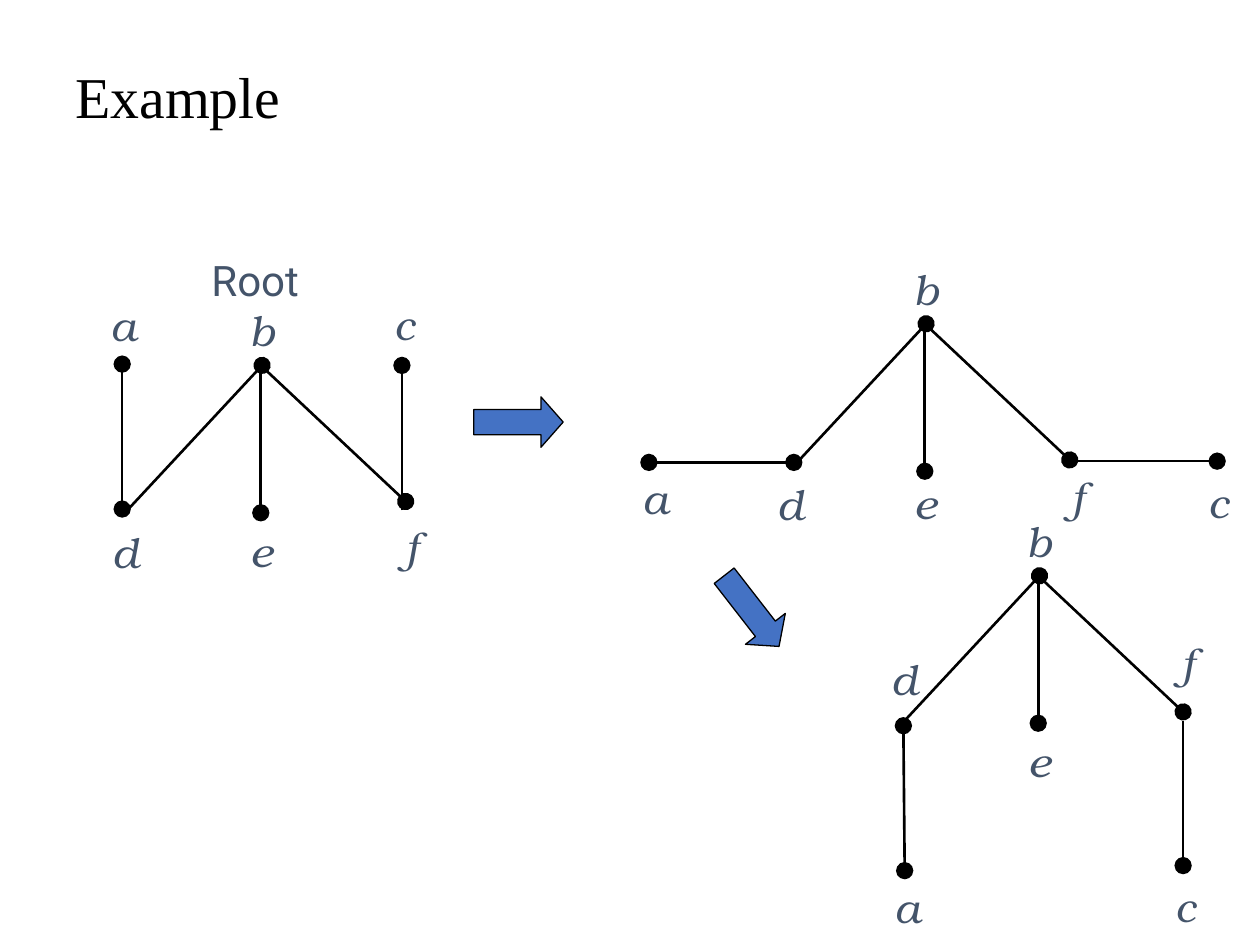
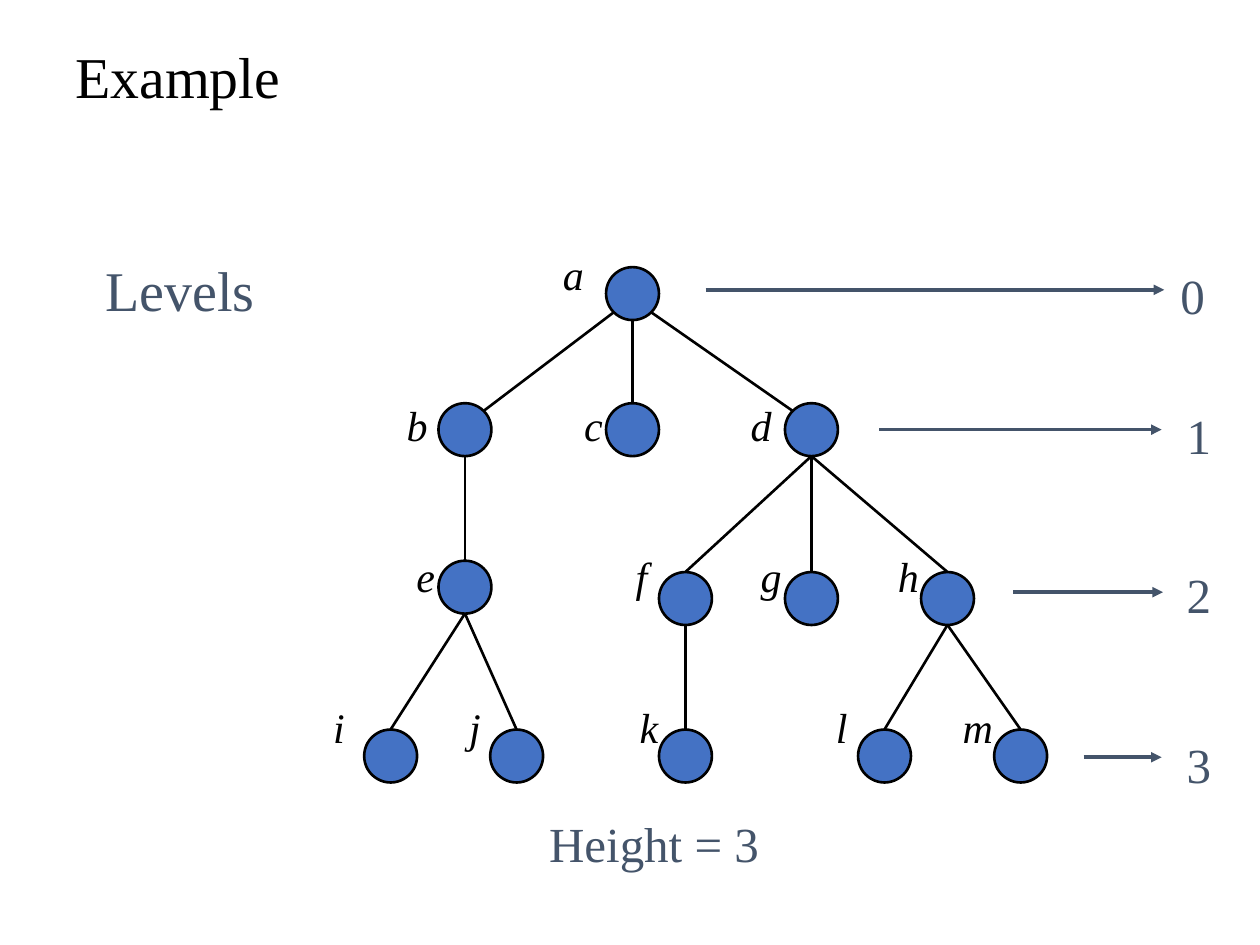
from dataclasses import dataclass
from math import copysign, sqrt
from typing import NamedTuple

from lxml.etree import SubElement
from pptx import Presentation
from pptx.dml.color import RGBColor
from pptx.enum.shapes import MSO_CONNECTOR, MSO_SHAPE
from pptx.enum.text import MSO_ANCHOR, PP_ALIGN
from pptx.oxml.ns import qn
from pptx.shapes.autoshape import Shape
from pptx.shapes.connector import Connector
from pptx.shapes.shapetree import GroupShapes, SlideShapes
from pptx.slide import Slide
from pptx.util import Inches, Pt

COLORS = {"ink": "000000", "slate": "44546A", "blue": "4472C4"}
SERIF = "Times New Roman"
Shapes = SlideShapes | GroupShapes


class Point(NamedTuple):
    x: float
    y: float

    def shift(self, x: float, y: float) -> "Point":
        return Point(self.x + x, self.y + y)


class Box(NamedTuple):
    left: float
    top: float
    width: float
    height: float


class Edge(NamedTuple):
    start: Point
    end: Point
    dot_at_start: bool = False
    dot_at_end: bool = True


@dataclass(frozen=True)
class TextStyle:
    size: float
    font: str = SERIF
    color: str = "slate"
    italic: bool = False
    align: PP_ALIGN = PP_ALIGN.LEFT
    anchor: MSO_ANCHOR = MSO_ANCHOR.TOP
    inset: tuple[float, float] = (0.1, 0.05)
    line_spacing: float = 1.0


@dataclass(frozen=True)
class RootedGraph:
    root: Point
    labels: dict[str, Point]
    outer_edges: tuple[Edge, Edge]


class Level(NamedTuple):
    arrow_start: Point
    arrow_end_x: float
    number_left: float
    number_top: float


LABEL = {"italic": True, "align": PP_ALIGN.CENTER, "anchor": MSO_ANCHOR.MIDDLE, "inset": (0, 0)}
GRAPH_LABEL = TextStyle(24, font="TeX Gyre Bonum", **LABEL)
TREE_LABEL = TextStyle(24, color="ink", **LABEL)
NUMBER = TextStyle(28)

GRAPHS = [
    RootedGraph(
        Point(2.08, 2.9),
        {"a": Point(0.98, 2.58), "c": Point(3.21, 2.57), "d": Point(1, 4.38),
         "e": Point(2.08, 4.37), "f": Point(3.27, 4.34)},
        (Edge(Point(0.97, 4.04), Point(0.97, 2.89), True), Edge(Point(3.19, 4.05), Point(3.19, 2.9))),
    ),
    RootedGraph(
        Point(7.35, 2.57),
        {"a": Point(5.2, 3.95), "c": Point(9.67, 3.98), "d": Point(6.28, 4),
         "e": Point(7.35, 3.99), "f": Point(8.55, 3.94)},
        (Edge(Point(6.3, 3.67), Point(5.15, 3.67), True), Edge(Point(8.5, 3.66), Point(9.66, 3.66))),
    ),
    RootedGraph(
        Point(8.25, 4.57),
        {"a": Point(7.2, 7.2), "c": Point(9.41, 7.19), "d": Point(7.18, 5.39),
         "e": Point(8.25, 6.04), "f": Point(9.43, 5.26)},
        (Edge(Point(7.17, 5.76), Point(7.18, 6.91), True), Edge(Point(9.39, 5.72), Point(9.39, 6.87))),
    ),
]

NODE_SIZE = 0.42
TREE_NODES = {
    "a": Point(5.02, 2.33),
    "b": Point(3.69, 3.41), "c": Point(5.02, 3.41), "d": Point(6.44, 3.41),
    "e": Point(3.69, 4.66), "f": Point(5.44, 4.75), "g": Point(6.44, 4.75), "h": Point(7.52, 4.75),
    "i": Point(3.1, 6), "j": Point(4.1, 6), "k": Point(5.44, 6), "l": Point(7.02, 6), "m": Point(8.1, 6),
}
CHILDREN = {"a": "bcd", "b": "e", "d": "fgh", "e": "ij", "f": "k", "h": "lm"}
LABEL_ROWS = [
    {"a": 4.55},
    {"b": 3.31, "c": 4.71, "d": 6.04},
    {"e": 3.38, "f": 5.09, "g": 6.12, "h": 7.21},
    {"i": 2.69, "j": 3.77, "k": 5.15, "l": 6.68, "m": 7.76},
]
LEVELS = [
    Level(Point(5.6, 2.3), 9.24, 9.27, 2.06),
    Level(Point(6.98, 3.41), 9.22, 9.32, 3.17),
    Level(Point(8.04, 4.7), 9.23, 9.32, 4.43),
    Level(Point(8.6, 6.01), 9.22, 9.32, 5.78),
]


def set_attributes(target: object, values: dict) -> None:
    for name, value in values.items():
        setattr(target, name, value)


def rgb(color: str) -> RGBColor:
    return RGBColor.from_string(COLORS[color])


def add_text(shapes: Shapes, text: str, box: Box, style: TextStyle) -> None:
    shape = shapes.add_textbox(*map(Inches, box))
    side, edge = map(Inches, style.inset)
    set_attributes(shape.text_frame, {
        "word_wrap": True, "vertical_anchor": style.anchor,
        "margin_left": side, "margin_right": side, "margin_top": edge, "margin_bottom": edge,
    })
    paragraph = shape.text_frame.paragraphs[0]
    set_attributes(paragraph, {"alignment": style.align, "line_spacing": style.line_spacing})
    run = paragraph.add_run()
    run.text = text
    set_attributes(run.font, {"size": Pt(style.size), "name": style.font, "italic": style.italic})
    run.font.color.rgb = rgb(style.color)


def add_label(shapes: Shapes, text: str, center: Point, style: TextStyle) -> None:
    width, height = 0.34, 0.4
    add_text(shapes, text, Box(center.x - width / 2, center.y - height / 2, width, height), style)


def add_title(slide: Slide, anchor: MSO_ANCHOR) -> None:
    style = TextStyle(33, color="ink", anchor=anchor, line_spacing=0.9)
    add_text(slide.shapes, "Example", Box(0.5, 0.17, 9, 0.92), style)


def add_blue_shape(shapes: Shapes, kind: MSO_SHAPE, box: Box, line_width: float) -> Shape:
    shape = shapes.add_shape(kind, *map(Inches, box))
    shape.shadow.inherit = False
    shape.fill.solid()
    shape.fill.fore_color.rgb = rgb("blue")
    shape.line.color.rgb = rgb("ink")
    shape.line.width = Pt(line_width)
    return shape


def add_block_arrow(slide: Slide, left: float, top: float, rotation: float) -> None:
    arrow = add_blue_shape(slide.shapes, MSO_SHAPE.RIGHT_ARROW, Box(left, top, 0.71, 0.4), 0.75)
    arrow.adjustments[1] = 0.44
    arrow.rotation = rotation


def add_line(shapes: Shapes, start: Point, end: Point, color: str = "ink", width: float = 1.5) -> Connector:
    line = shapes.add_connector(MSO_CONNECTOR.STRAIGHT, *map(Inches, (*start, *end)))
    line.line.color.rgb = rgb(color)
    line.line.width = Pt(width)
    SubElement(line._element.spPr, qn("a:effectLst"))
    return line


def add_line_end(line: Connector, end: str, kind: str, size: str) -> None:
    """Put a marker on headEnd (the start) or tailEnd (the end) of a line."""
    SubElement(line.line._get_or_add_ln(), qn(f"a:{end}"), type=kind, w=size, len=size)


def add_edge(shapes: Shapes, edge: Edge) -> None:
    line = add_line(shapes, edge.start, edge.end)
    if edge.dot_at_start:
        add_line_end(line, "headEnd", "oval", "lg")
    if edge.dot_at_end:
        add_line_end(line, "tailEnd", "oval", "lg")


def add_rooted_graph(slide: Slide, graph: RootedGraph) -> None:
    """Draw the fan from root b to d, e and f, then the two outer edges."""
    shapes = slide.shapes.add_group_shape().shapes
    root = graph.root
    fan = (
        Edge(root.shift(-1.07, 1.15), root),
        Edge(root.shift(-0.01, 0.02), root.shift(-0.01, 1.17)),
        Edge(root.shift(1.14, 1.08), root.shift(-0.01, 0), True, False),
    )
    for edge in fan + graph.outer_edges:
        add_edge(shapes, edge)
    for text, center in {"b": root.shift(0, -0.28), **graph.labels}.items():
        add_label(shapes, text, center, GRAPH_LABEL)


def add_tree(slide: Slide) -> None:
    shapes = slide.shapes.add_group_shape().shapes
    radius = NODE_SIZE / 2
    circles = {
        name: add_blue_shape(shapes, MSO_SHAPE.OVAL,
                             Box(center.x - radius, center.y - radius, NODE_SIZE, NODE_SIZE), 1.5)
        for name, center in TREE_NODES.items()
    }
    for parent, children in CHILDREN.items():
        for child in children:
            start, end = TREE_NODES[parent], TREE_NODES[child]
            if parent == "a" and start.x != end.x:
                diagonal = radius / sqrt(2)
                side = copysign(diagonal, end.x - start.x)
                add_line(shapes, start.shift(side, diagonal), end.shift(-side, -diagonal))
            else:
                line = add_line(shapes, start.shift(0, radius), end.shift(0, -radius))
                line.end_connect(circles[child], 0)
    for row, labels in enumerate(LABEL_ROWS):
        for text, x in labels.items():
            add_label(shapes, text, Point(x, 2.17 + 1.2 * row), TREE_LABEL)


def add_level(slide: Slide, number: int, level: Level) -> None:
    start = level.arrow_start
    arrow = add_line(slide.shapes, start, Point(level.arrow_end_x, start.y), "slate", 2)
    add_line_end(arrow, "tailEnd", "triangle", "med")
    add_text(slide.shapes, str(number), Box(level.number_left, level.number_top, 0.45, 0.57), NUMBER)


def build_rooting_slide(slide: Slide) -> None:
    add_title(slide, MSO_ANCHOR.BOTTOM)
    add_block_arrow(slide, 3.76, 3.15, 0)
    add_block_arrow(slide, 5.61, 4.65, 52.2)
    add_text(slide.shapes, "Root", Box(1.58, 1.97, 1.1, 0.5), TextStyle(24, font="Roboto"))
    for graph in GRAPHS:
        add_rooted_graph(slide, graph)


def build_levels_slide(slide: Slide) -> None:
    add_title(slide, MSO_ANCHOR.MIDDLE)
    add_tree(slide)
    add_text(slide.shapes, "Levels", Box(0.74, 1.98, 1.6, 0.64), TextStyle(32))
    for number, level in enumerate(LEVELS):
        add_level(slide, number, level)
    add_text(slide.shapes, "Height = 3", Box(4.26, 6.41, 2.39, 0.57), NUMBER)


def main() -> None:
    presentation = Presentation()
    presentation.slide_width, presentation.slide_height = Inches(10), Inches(7.5)
    blank = presentation.slide_layouts[6]
    for build in (build_rooting_slide, build_levels_slide):
        build(presentation.slides.add_slide(blank))
    presentation.save("out.pptx")


if __name__ == "__main__":
    main()
